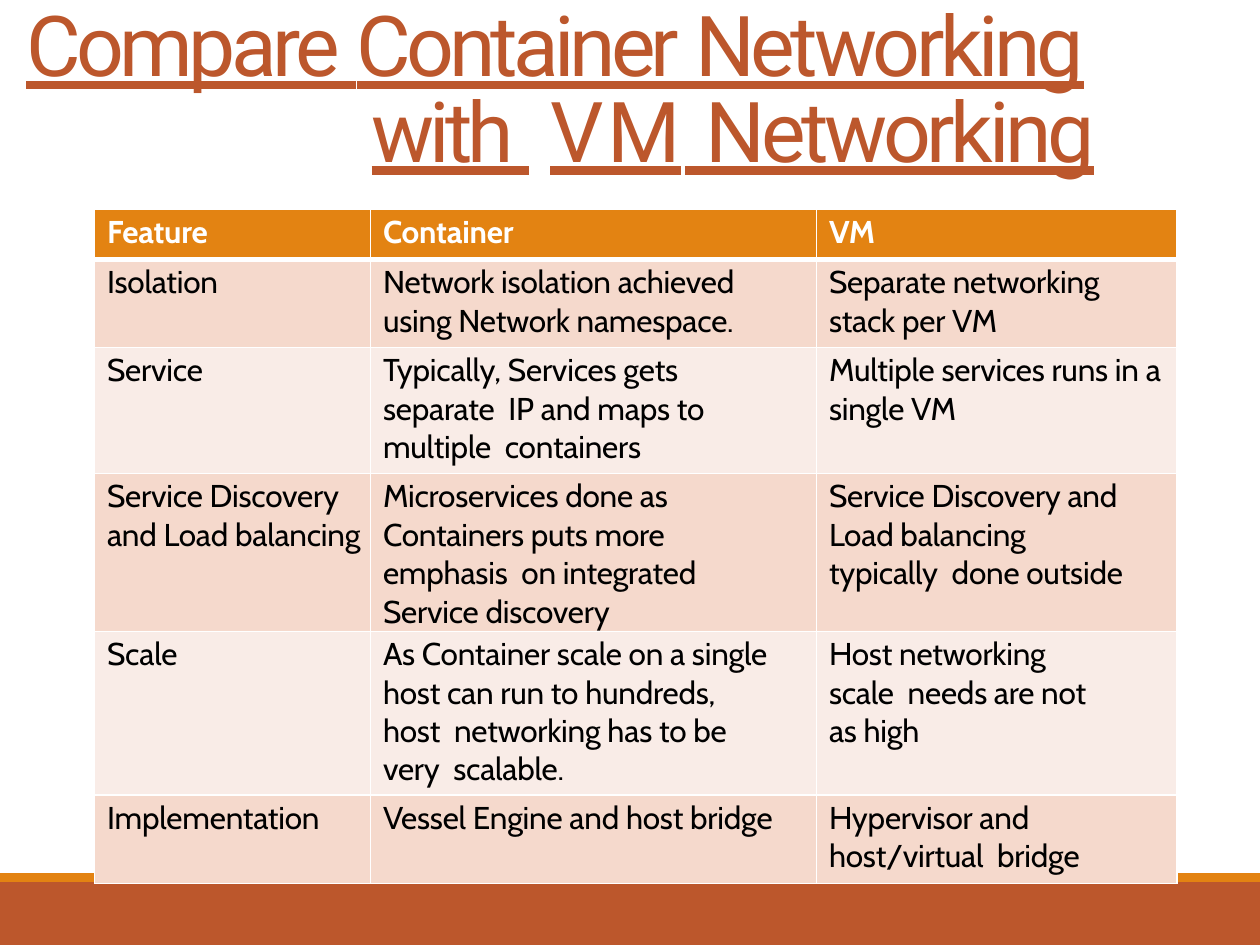
from lxml import etree
from pptx import Presentation
from pptx.dml.color import RGBColor
from pptx.enum.shapes import MSO_SHAPE
from pptx.enum.text import MSO_ANCHOR, MSO_AUTO_SIZE, MSO_UNDERLINE, PP_ALIGN
from pptx.oxml.ns import qn
from pptx.util import Inches, Pt

RECTANGLE = MSO_SHAPE.RECTANGLE
TOP, LEFT, NO_AUTOFIT = MSO_ANCHOR.TOP, PP_ALIGN.LEFT, MSO_AUTO_SIZE.NONE
HEAVY = MSO_UNDERLINE.HEAVY_LINE

RUST, ORANGE, WHITE, BLACK = "BC572C", "E38312", "FFFFFF", "000000"
BANDS = ["F5D9CC", "F9ECE7"]

TITLE = [
    ("Compare ", -2.6, HEAVY), ("Container ", -2.8, HEAVY), ("Networking", -2.5, HEAVY),
    (" ", -9.2, HEAVY), ("with ", -2.9, HEAVY), (" ", -2.9, False),
    ("VM", 2.2, HEAVY), (" ", -4.8, HEAVY), ("Networking", -2.5, HEAVY),
]
FOOTER_BANDS = [(7, 0.5, RUST), (6.93, 0.07, ORANGE)]
COLUMN_WIDTHS = [2.19, 3.54, 2.86]
ROW_HEIGHTS = [0.4, 0.7, 1, 1, 1.3, 0.7]
ROWS = [
    ["Feature", "Container", "VM"],
    ["Isolation",
     "Network isolation achieved\nusing Network namespace.",
     "Separate networking\nstack per VM"],
    ["Service",
     "Typically, Services gets separate  IP and maps to multiple  containers",
     "Multiple services runs in a  single VM"],
    ["Service Discovery\nand Load balancing",
     "Microservices done as  Containers puts more emphasis  on integrated Service discovery",
     "Service Discovery and  Load balancing typically  done outside"],
    ["Scale",
     "As Container scale on a single  host can run to hundreds, "
     "host  networking has to be very  scalable.",
     "Host networking scale  needs are not as high"],
    ["Implementation",
     "Vessel Engine and host bridge",
     "Hypervisor and host/virtual  bridge"],
]
RIGHT_INDENTS = {(2, 1): 0.3, (3, 1): 0.3, (4, 1): 0.3, (3, 2): 0.35, (4, 2): 0.6}


def rgb(color):
    return RGBColor.from_string(color)


def indent(paragraph, left, first=0, right=0):
    properties = paragraph._p.get_or_add_pPr()
    for key, value in (("marL", left), ("marR", right), ("indent", first)):
        properties.set(key, str(Inches(value)))


def add_run(paragraph, text, spacing):
    run = paragraph.add_run()
    run.text = text
    run._r.get_or_add_rPr().set("spc", str(round(spacing * 100)))
    return run


def set_font(paragraph, name, size, color, bold=False):
    font = paragraph.font
    font.name, font.size, font.bold = name, Pt(size), bold
    font.color.rgb = rgb(color)


def set_borders(cell, widths):
    properties = cell._tc.get_or_add_tcPr()
    for position, (side, width) in enumerate(widths.items()):
        line = etree.Element(qn("a:ln" + side), w=str(Pt(width)))
        fill = etree.SubElement(line, qn("a:solidFill"))
        etree.SubElement(fill, qn("a:srgbClr"), val=WHITE)
        properties.insert(position, line)


def fill_cell(cell, text, row, right):
    header = row == 0
    cell.fill.solid()
    cell.fill.fore_color.rgb = rgb(ORANGE if header else BANDS[(row - 1) % 2])
    set_borders(cell, {"L": 1, "R": 1, "T": 3 if row == 1 else 1, "B": 3 if header else 1})
    cell.margin_left = cell.margin_right = cell.margin_bottom = 0
    cell.margin_top = Inches(0.03)
    frame = cell.text_frame
    for number, line in enumerate(text.split("\n")):
        paragraph = frame.add_paragraph() if number else frame.paragraphs[0]
        paragraph.space_before = Pt(0 if number else 2.4)
        indent(paragraph, 0.1, right=right)
        set_font(paragraph, "Cabin", 18, WHITE if header else BLACK, header)
        add_run(paragraph, line, -0.1)


prs = Presentation()
prs.slide_width, prs.slide_height = Inches(10), Inches(7.5)
slide = prs.slides.add_slide(prs.slide_layouts[5])

title = slide.shapes.title
title.left, title.top = Inches(0.19), Inches(-0.08)
title.width, title.height = Inches(9.62), Inches(1.51)
heading = title.text_frame
heading.word_wrap, heading.auto_size, heading.vertical_anchor = True, NO_AUTOFIT, TOP
heading.margin_left = heading.margin_right = heading.margin_bottom = 0
heading.margin_top = Inches(0.14)
headline = heading.paragraphs[0]
headline.alignment = LEFT
headline.line_spacing, headline.space_before = Pt(49), Pt(9.8)
indent(headline, 2.76, -2.74, 0.3)
set_font(headline, "Roboto", 48, RUST)
for text, spacing, underline in TITLE:
    add_run(headline, text, spacing).font.underline = underline

for top, height, color in FOOTER_BANDS:
    band = slide.shapes.add_shape(RECTANGLE, 0, Inches(top), prs.slide_width, Inches(height))
    band.shadow.inherit = False
    band.fill.solid()
    band.fill.fore_color.rgb = rgb(color)
    band.line.fill.background()

comparison = slide.shapes.add_table(
    len(ROWS), len(COLUMN_WIDTHS), Inches(0.75), Inches(1.66),
    Inches(sum(COLUMN_WIDTHS)), Inches(sum(ROW_HEIGHTS))).table
for column, width in zip(comparison.columns, COLUMN_WIDTHS):
    column.width = Inches(width)
for row, (height, texts) in enumerate(zip(ROW_HEIGHTS, ROWS)):
    comparison.rows[row].height = Inches(height)
    for column, text in enumerate(texts):
        fill_cell(comparison.cell(row, column), text, row, RIGHT_INDENTS.get((row, column), 0))

prs.save("out.pptx")
